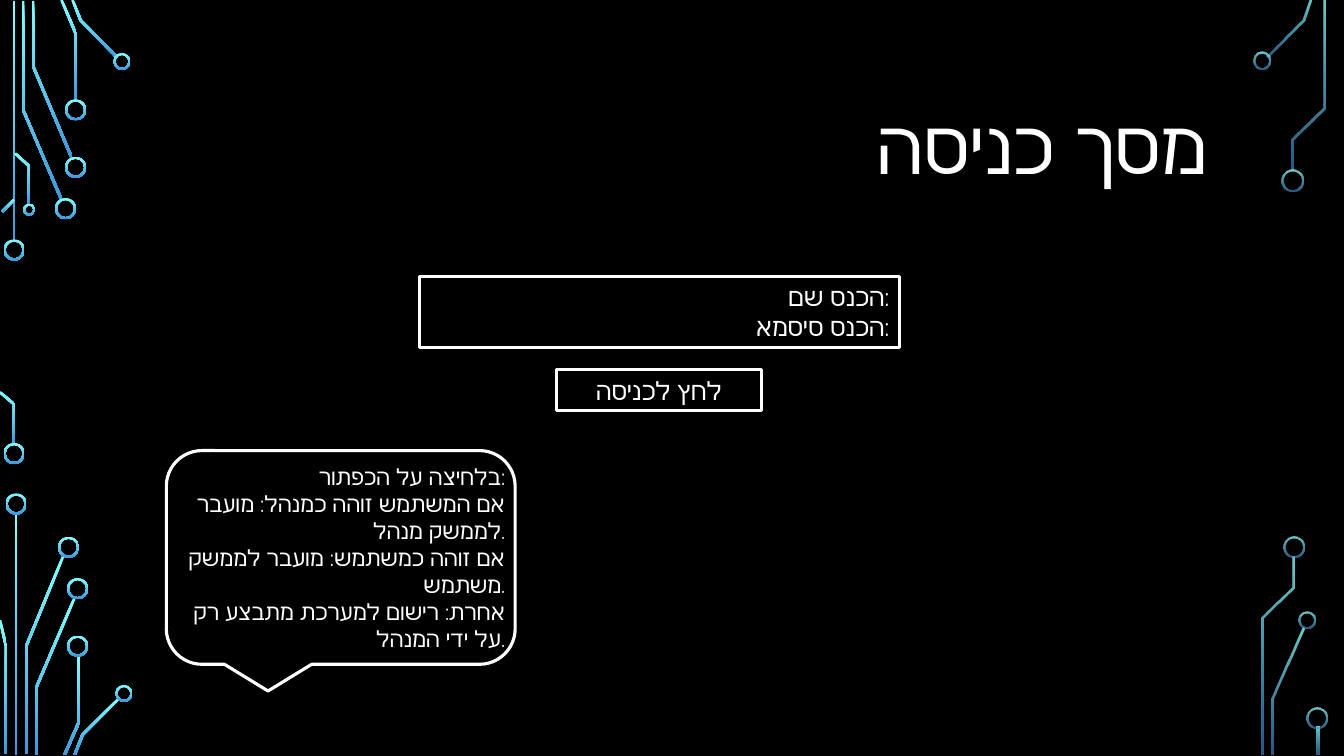
"""Build the login screen slide with its circuit-board decoration."""
import math
from dataclasses import dataclass

from lxml import etree
from pptx import Presentation
from pptx.dml.color import RGBColor
from pptx.enum.shapes import MSO_SHAPE
from pptx.enum.text import MSO_ANCHOR, MSO_AUTO_SIZE, PP_ALIGN
from pptx.oxml.ns import qn
from pptx.util import Inches, Pt

RECTANGLE = MSO_SHAPE.RECTANGLE
CALLOUT = MSO_SHAPE.ROUNDED_RECTANGULAR_CALLOUT
DONUT = MSO_SHAPE.DONUT
TOP, MIDDLE = MSO_ANCHOR.TOP, MSO_ANCHOR.MIDDLE
FIT_SHAPE, NO_FIT = MSO_AUTO_SIZE.SHAPE_TO_FIT_TEXT, MSO_AUTO_SIZE.NONE
RIGHT, CENTER = PP_ALIGN.RIGHT, PP_ALIGN.CENTER

COLORS = {"night": "000000", "ink": "FFFFFF", "glow": "82FFFF", "deep": "3D97DE"}
FONT = "Quicksand"
CELL = Inches(0.1)
TRACE_WIDTH = 0.25
RING_WIDTH = 0.2

Point = tuple[float, float]


@dataclass(frozen=True)
class Ring:
    """A circuit node, in grid cells."""
    column: float
    row: float
    size: float = 2.1


@dataclass(frozen=True)
class Circuit:
    """Traces and rings that share one gradient opacity."""
    opacities: tuple[int, int]
    traces: tuple[tuple[Point, ...], ...]
    rings: tuple[Ring, ...]


@dataclass(frozen=True)
class Panel:
    """A box on the screen, in grid cells."""
    column: float
    row: float
    columns: float
    rows: float
    kind: MSO_SHAPE | None = RECTANGLE
    text: str = ""
    size: int = 18
    align: PP_ALIGN = RIGHT


CIRCUITS = (
    Circuit(
        (100, 100),
        (
            ((1.4, 0.1), (1.4, 24)),
            ((2.3, 0.1), (2.3, 10.9), (6.1, 19.8)),
            ((3.3, 0.1), (3.3, 6.6), (7.1, 15.6)),
            ((6.1, 0), (7.5, 3.3), (7.5, 10)),
            ((7.2, 0), (8, 2), (11.6, 5.7)),
            ((1.4, 19.8), (0.2, 21)),
            ((1.5, 15.2), (2.9, 16.5), (2.9, 20.3)),
            ((0, 38.9), (1.4, 40.1), (1.4, 44.1)),
            ((1.6, 51), (1.6, 74.9)),
            ((2.6, 74.8), (2.6, 64.1), (6.3, 55.1)),
            ((0, 61.5), (0.6, 64.1), (0.6, 74.8)),
            ((3.6, 74.9), (3.6, 68.2), (7.4, 59.3)),
            ((6.4, 74.9), (7.8, 71.7), (7.8, 65)),
            ((7.4, 74.9), (8.2, 72.9), (11.8, 69.3)),
        ),
        (
            Ring(1.4, 24.8), Ring(1.4, 45), Ring(6.5, 20.7), Ring(7.5, 16.6),
            Ring(7.5, 10.9), Ring(12.1, 6.1, 1.7), Ring(2.9, 20.8, 1.2),
            Ring(1.6, 50), Ring(6.8, 54.3), Ring(7.7, 58.4), Ring(7.7, 64.1),
            Ring(12.3, 68.8, 1.7),
        ),
    ),
    Circuit(
        (80, 60),
        (
            ((125.7, 5.6), (129.3, 2), (130, 0)),
            ((128.2, 16.9), (128.2, 13.8), (131.3, 10.7), (131.3, 0.1)),
            ((126.2, 74.9), (126.2, 69.3), (129.3, 62.3)),
            ((125.2, 74.9), (125.2, 61.3), (128.3, 58.3), (128.3, 55.2)),
            ((130.7, 72.1), (130.7, 74.9)),
        ),
        (
            Ring(125.2, 6, 1.7), Ring(128.2, 17.9), Ring(129.6, 61.5, 1.7),
            Ring(128.3, 54.3), Ring(130.6, 71.2),
        ),
    ),
)

PANELS = (
    Panel(41.6, 27.4, 47.6, 7.1, text="הכנס שם:\nהכנס סיסמא:"),
    Panel(16.5, 44.7, 34.6, 21.2, CALLOUT),
    Panel(16.5, 45.5, 34.6, 19.9, None, (
        "בלחיצה על הכפתור:\n"
        "אם המשתמש זוהה כמנהל: מועבר לממשק מנהל.\n"
        "אם זוהה כמשתמש: מועבר לממשק משתמש.\n"
        "אחרת: רישום למערכת מתבצע רק על ידי המנהל."
    ), 16),
    Panel(55.2, 36.7, 20.3, 4, text="לחץ לכניסה", align=CENTER),
)


def color(name: str) -> RGBColor:
    """Look up a palette colour."""
    return RGBColor.from_string(COLORS[name])


def cells(*values: float) -> list[int]:
    """Turn grid cells into slide lengths."""
    return [round(value * CELL) for value in values]


def paint_gradient(shape, opacities: tuple[int, int]) -> None:
    """Fill a circuit part from glow at the top to deep at the bottom."""
    shape.shadow.inherit = False
    shape.line.fill.background()
    shape.fill.gradient()
    shape.fill.gradient_angle = 270
    for stop, name, place in zip(shape.fill.gradient_stops, ("glow", "deep"), (0, 1)):
        stop.color.rgb = color(name)
        stop.position = place
    for tint, opacity in zip(shape._element.spPr.iter(qn("a:srgbClr")), opacities):
        if opacity < 100:
            etree.SubElement(tint, qn("a:alpha"), val=str(opacity * 1000))


def ribbon(trace: tuple[Point, ...]) -> list[Point]:
    """Outline a centreline with mitred corners."""
    angles = [math.atan2(y2 - y1, x2 - x1) for (x1, y1), (x2, y2) in zip(trace, trace[1:])]
    left, right = [], []
    for (x, y), before, after in zip(trace, angles[:1] + angles, angles + angles[-1:]):
        reach = TRACE_WIDTH / 2 / math.cos((after - before) / 2)
        normal = (before + after) / 2 + math.pi / 2
        dx, dy = reach * math.cos(normal), reach * math.sin(normal)
        left.append((x + dx, y + dy))
        right.append((x - dx, y - dy))
    return left + right[::-1]


def draw_circuit(page, circuit: Circuit) -> None:
    """Draw the traces and rings of one circuit."""
    for trace in circuit.traces:
        first, *others = [cells(*point) for point in ribbon(trace)]
        builder = page.shapes.build_freeform(*first)
        builder.add_line_segments(others, close=True)
        paint_gradient(builder.convert_to_shape(), circuit.opacities)
    for ring in circuit.rings:
        corner = (ring.column - ring.size / 2, ring.row - ring.size / 2)
        node = page.shapes.add_shape(DONUT, *cells(*corner, ring.size, ring.size))
        node.adjustments[0] = RING_WIDTH / ring.size
        paint_gradient(node, circuit.opacities)


def write(box, text: str, size: int, align: PP_ALIGN) -> None:
    """Set the text of a box and format its spans."""
    box.text_frame.text = text
    box.text_frame.word_wrap = True
    for para in box.text_frame.paragraphs:
        para.alignment = align
        for span in para.runs:
            span.font.size = Pt(size)
            span.font.name = FONT
            span.font.color.rgb = color("ink")
            etree.SubElement(span.font._element, qn("a:cs"), typeface=FONT)


def draw_panel(page, panel: Panel) -> None:
    """Draw one outlined or plain box."""
    place = cells(panel.column, panel.row, panel.columns, panel.rows)
    if panel.kind is None:
        box = page.shapes.add_textbox(*place)
    else:
        box = page.shapes.add_shape(panel.kind, *place)
        box.shadow.inherit = False
        box.fill.background()
        box.line.color.rgb = color("ink")
        box.line.width = Pt(2.25)
    if panel.text:
        write(box, panel.text, panel.size, panel.align)
        box.text_frame.vertical_anchor = TOP
        box.text_frame.auto_size = FIT_SHAPE


def draw_title(page) -> None:
    """Place the right-to-left title."""
    title = page.shapes.title
    title.left, title.top, title.width, title.height = cells(12.5, 6.8, 108.3, 16.2)
    write(title, "מסך כניסה", 54, RIGHT)
    title.text_frame.vertical_anchor = MIDDLE
    title.text_frame.auto_size = NO_FIT
    para = title.text_frame.paragraphs[0]
    para.line_spacing = 0.9
    para._p.get_or_add_pPr().set("rtl", "1")


def main() -> None:
    """Build and save the deck."""
    deck = Presentation()
    deck.slide_width, deck.slide_height = Inches(13.33), Inches(7.5)
    page = deck.slides.add_slide(deck.slide_layouts[5])
    page.background.fill.solid()
    page.background.fill.fore_color.rgb = color("night")
    for circuit in CIRCUITS:
        draw_circuit(page, circuit)
    draw_title(page)
    for panel in PANELS:
        draw_panel(page, panel)
    deck.save("out.pptx")


if __name__ == "__main__":
    main()
